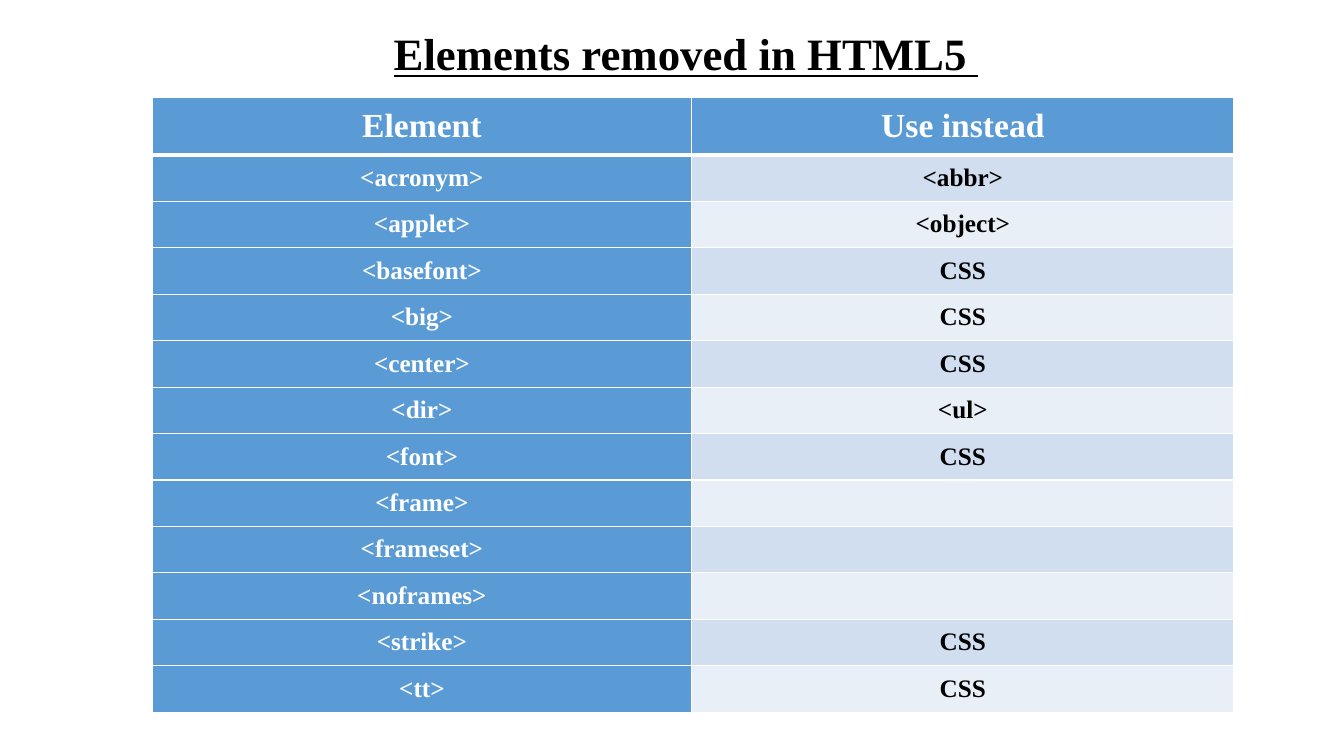
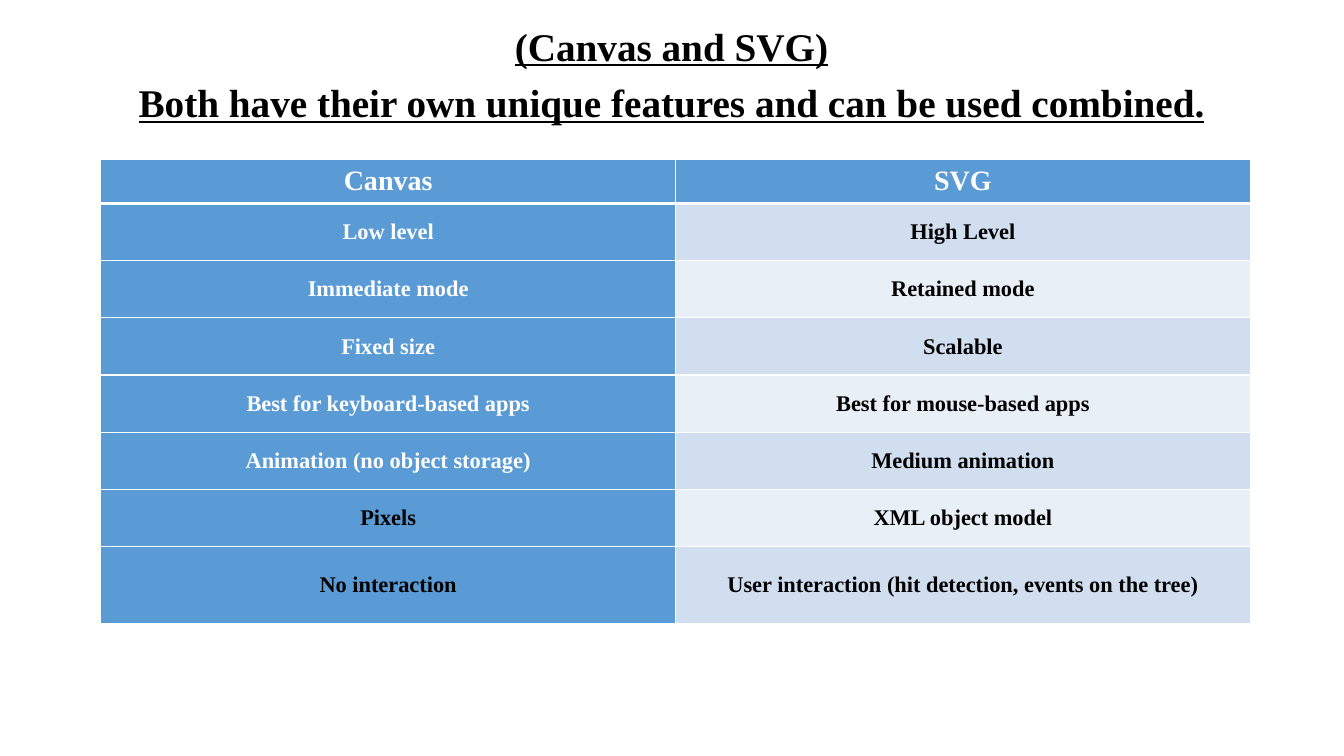
"""Build two slides that compare HTML5 elements and drawing methods in tables."""
from lxml import etree
from pptx import Presentation
from pptx.dml.color import RGBColor
from pptx.enum import text as txt
from pptx.oxml import ns
from pptx.util import Inches, Pt

BLUE = RGBColor(0x5B, 0x9B, 0xD5)
BANDS = (RGBColor(0xD0, 0xDE, 0xEF), RGBColor(0xE9, 0xEF, 0xF7))
WHITE = RGBColor(0xFF, 0xFF, 0xFF)
BLACK = RGBColor(0, 0, 0)
FONT = {"name": "Times New Roman", "bold": True}
CENTER = txt.PP_ALIGN.CENTER
TOP, MIDDLE = txt.MSO_ANCHOR.TOP, txt.MSO_ANCHOR.MIDDLE
SIDES = ("left", "right", "top", "bottom")

REMOVED = [
    ("Element", "Use instead"),
    ("<acronym>", "<abbr>"),
    ("<applet>", "<object>"),
    ("<basefont>", "CSS"),
    ("<big>", "CSS"),
    ("<center>", "CSS"),
    ("<dir>", "<ul>"),
    ("<font>", "CSS"),
    ("<frame>", ""),
    ("<frameset>", ""),
    ("<noframes>", ""),
    ("<strike>", "CSS"),
    ("<tt>", "CSS"),
]
DRAWING = [
    ("Canvas", "SVG"),
    ("Low level", "High Level"),
    ("Immediate mode", "Retained mode"),
    ("Fixed size", "Scalable"),
    ("Best for keyboard-based apps", "Best for mouse-based apps"),
    ("Animation (no object storage)", "Medium animation"),
    ("Pixels", "XML object model"),
    ("No interaction", "User interaction (hit detection, events on the tree)"),
]


def apply(item, values):
    for key, value in values.items():
        setattr(item, key, value)


def write(para, words, size, color, **more):
    para.alignment = CENTER
    run = para.add_run()
    run.text = words
    apply(run.font, {**FONT, "size": Pt(size), **more})
    run.font.color.rgb = color


def add_title(slide, place, lines, size):
    frame = slide.shapes.add_textbox(*map(Inches, place)).text_frame
    frame.word_wrap = True
    for num, line in enumerate(lines):
        para = frame.add_paragraph() if num else frame.paragraphs[0]
        apply(para, {"line_spacing": 0.9, "space_before": Pt(10 if num else 0)})
        write(para, line, size, BLACK, underline=True)


def add_edges(cell, row):
    props = cell._tc.get_or_add_tcPr()
    thick = {"T": row == 1, "B": row == 0}
    for side in "LRTB":
        width = Pt(3 if thick.get(side) else 1)
        line = etree.SubElement(props, ns.qn(f"a:ln{side}"), w=str(width))
        fill = etree.SubElement(line, ns.qn("a:solidFill"))
        etree.SubElement(fill, ns.qn("a:srgbClr"), val=str(WHITE))


def add_cell(cell, words, row, col, size, inset, anchor, space, dark):
    add_edges(cell, row)
    plain = row and col
    cell.fill.solid()
    cell.fill.fore_color.rgb = BANDS[(row - 1) % 2] if plain else BLUE
    apply(cell, {f"margin_{side}": Inches(inset) for side in SIDES})
    cell.vertical_anchor = anchor
    if words:
        para = cell.text_frame.paragraphs[0]
        para.line_spacing = space
        write(para, words, size, BLACK if plain or dark else WHITE)


def add_grid(slide, data, spot, cols, rows, sizes, insets, anchor, space, dark=()):
    area = (*spot, sum(cols), sum(rows))
    table = slide.shapes.add_table(len(data), len(cols), *map(Inches, area)).table
    for col, width in zip(table.columns, cols):
        col.width = Inches(width)
    for num, (line, height) in enumerate(zip(data, rows)):
        table.rows[num].height = Inches(height)
        kind = min(num, 1)
        for col, words in enumerate(line):
            add_cell(table.cell(num, col), words, num, col, sizes[kind],
                     insets[kind], anchor, space, line[0] in dark)


def main():
    deck = Presentation()
    apply(deck, {"slide_width": Inches(13.33), "slide_height": Inches(7.5)})
    blank = deck.slide_layouts[6]

    slide = deck.slides.add_slide(blank)
    add_title(slide, (0.5, 0.27, 12.61, 6.82), ["Elements removed in HTML5 "], 32)
    add_grid(slide, REMOVED, (1.51, 0.97), (5.35, 5.38), [0.55] + [5.47 / 12] * 12,
             (24, 18), (0.07, 0.07), TOP, 1.07)

    slide = deck.slides.add_slide(blank)
    add_title(slide, (0.21, 0.22, 12.9, 6.88),
              ["(Canvas and SVG)",
               "Both have their own unique features and can be used combined."], 28)
    add_grid(slide, DRAWING, (1, 1.58), (5.7, 5.7), [0.44] + [3.35 / 6] * 6 + [0.77],
             (20, 16), (0.05, 0.15), MIDDLE, 1.0, ("Pixels", "No interaction"))

    deck.save("out.pptx")


if __name__ == "__main__":
    main()
